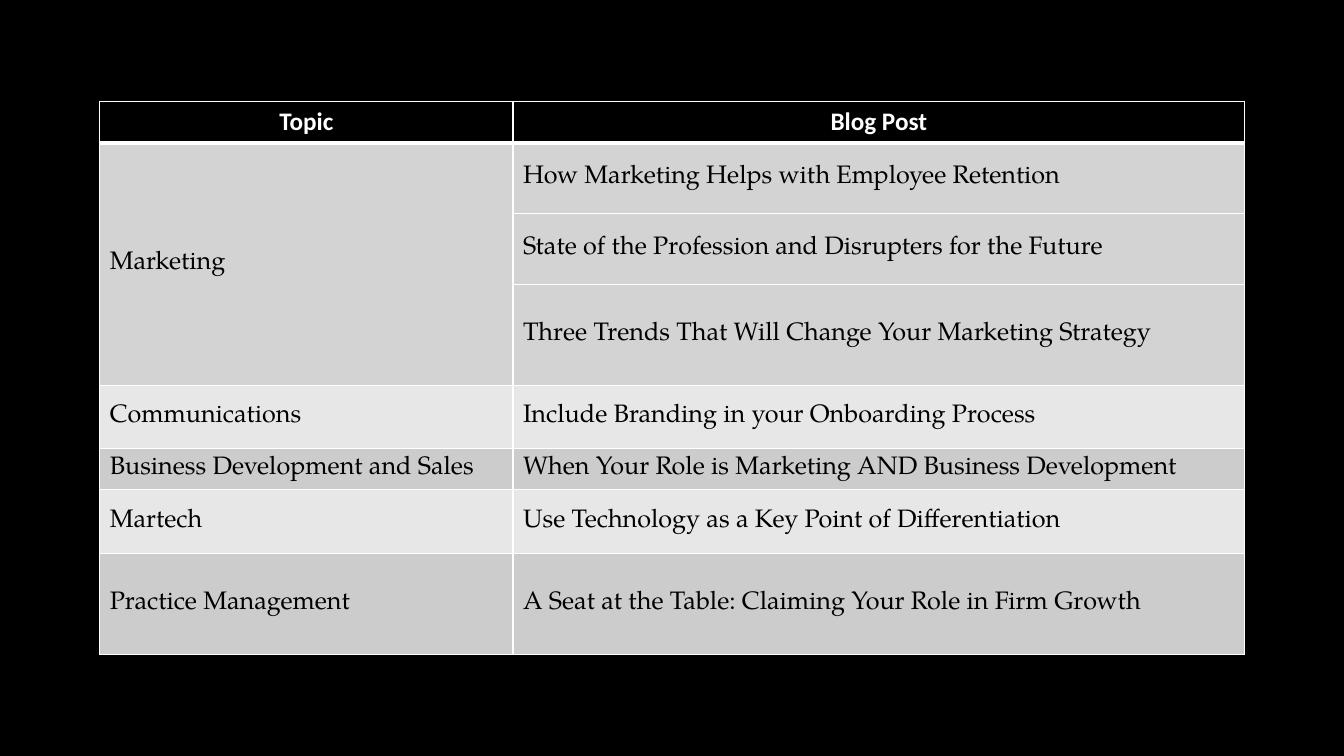
"""Build a slide with a table of blog posts by topic."""
from pptx import Presentation
from pptx.dml.color import RGBColor
from pptx.enum.text import MSO_ANCHOR, PP_ALIGN
from pptx.oxml.ns import qn
from pptx.util import Pt
from lxml.etree import SubElement

HEADINGS = ("Topic", "Blog Post")
TOPICS = [
    ("Marketing", "D3D3D3", [
        ("How Marketing Helps with Employee Retention", 50.5),
        ("State of the Profession and Disrupters for the Future", 50.5),
        ("Three Trends That Will Change Your Marketing Strategy", 72.3),
    ]),
    ("Communications", "E7E7E7", [
        ("Include Branding in your Onboarding Process", 45.2),
    ]),
    ("Business Development and Sales", "CCCCCC", [
        ("When Your Role is Marketing AND Business Development", 29.5),
    ]),
    ("Martech", "E7E7E7", [
        ("Use Technology as a Key Point of Differentiation", 45.2),
    ]),
    ("Practice Management", "CCCCCC", [
        ("A Seat at the Table: Claiming Your Role in Firm Growth", 72.3),
    ]),
]
COLUMN_WIDTHS = (295.2, 522.7)
HEADING_HEIGHT = 29.5
LEFT, TOP = 71.2, 72.5
BLACK, WHITE = "000000", "FFFFFF"
HEADING_FONT, BODY_FONT = "Calibri", "TeX Gyre Pagella"


def color(value):
    return RGBColor.from_string(value)


def style_cell(cell, fill, top=1, bottom=1):
    properties = cell._tc.get_or_add_tcPr()
    for side, width in (("L", 1), ("R", 1), ("T", top), ("B", bottom)):
        border = SubElement(properties, qn(f"a:ln{side}"), w=str(Pt(width)))
        paint = SubElement(border, qn("a:solidFill"))
        SubElement(paint, qn("a:srgbClr"), val=WHITE)
    cell.fill.solid()
    cell.fill.fore_color.rgb = color(fill)
    cell.vertical_anchor = MSO_ANCHOR.MIDDLE


def write(cell, wording, font_name, ink, bold=False, align=PP_ALIGN.LEFT):
    cell.text_frame.text = wording
    paragraph = cell.text_frame.paragraphs[0]
    paragraph.alignment = align
    font = paragraph.runs[0].font
    font.name, font.size, font.bold = font_name, Pt(18), bold
    font.color.rgb = color(ink)


def main():
    presentation = Presentation()
    presentation.slide_width, presentation.slide_height = Pt(960), Pt(540)
    slide = presentation.slides.add_slide(presentation.slide_layouts[6])
    slide.background.fill.solid()
    slide.background.fill.fore_color.rgb = color(BLACK)

    heights = [HEADING_HEIGHT] + [height for _, _, posts in TOPICS for _, height in posts]
    table = slide.shapes.add_table(
        len(heights), len(COLUMN_WIDTHS), Pt(LEFT), Pt(TOP),
        Pt(sum(COLUMN_WIDTHS)), Pt(sum(heights))).table
    for column, width in zip(table.columns, COLUMN_WIDTHS):
        column.width = Pt(width)
    for row, height in zip(table.rows, heights):
        row.height = Pt(height)

    for cell, heading in zip(table.rows[0].cells, HEADINGS):
        style_cell(cell, BLACK, bottom=3)
        write(cell, heading, HEADING_FONT, WHITE, True, PP_ALIGN.CENTER)

    first = 1
    for topic, fill, posts in TOPICS:
        for index, (post, _) in enumerate(posts, first):
            for cell in table.rows[index].cells:
                style_cell(cell, fill, top=3 if index == 1 else 1)
            write(table.cell(index, 1), post, BODY_FONT, BLACK)
        write(table.cell(first, 0), topic, BODY_FONT, BLACK)
        last = first + len(posts) - 1
        if last > first:
            table.cell(first, 0).merge(table.cell(last, 0))
        first = last + 1

    presentation.save("out.pptx")


if __name__ == "__main__":
    main()
